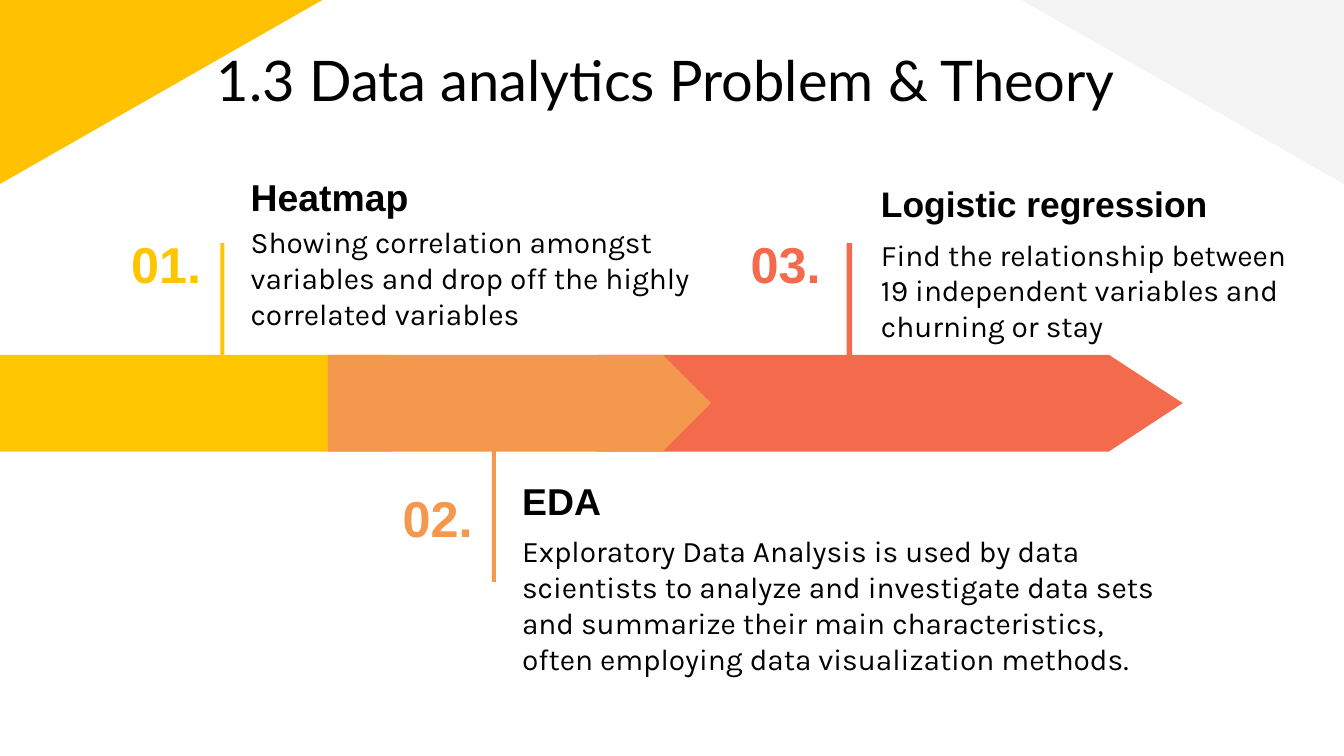
from pptx import Presentation
from pptx.dml.color import RGBColor
from pptx.enum.shapes import MSO_SHAPE
from pptx.enum.text import MSO_ANCHOR, PP_ALIGN
from pptx.util import Inches, Pt

BLACK = RGBColor(0x00, 0x00, 0x00)
GOLD = RGBColor(0xFF, 0xC1, 0x00)
GREY = RGBColor(0xF3, 0xF3, 0xF3)
YELLOW = RGBColor(0xFF, 0xC5, 0x00)
ORANGE = RGBColor(0xF3, 0x98, 0x4D)
CORAL = RGBColor(0xF3, 0x6A, 0x4C)

# Content
TITLE = "1.3 Data analytics Problem & Theory "
# Back to front; places are (left, top), body is (left, top, width)
STEPS = [
    dict(number="01.", color=YELLOW, arrow=(0, 2.91, 3.28),
         stem=(1.64, 1.81, 0.03), number_at=(0.9, 1.7),
         heading="Heatmap", heading_at=(1.79, 1.26, 1.85), heading_size=20,
         body="Showing correlation amongst variables and drop off "
              "the highly correlated variables",
         body_at=(1.79, 1.63, 3.5, 0.49)),
    dict(number="03.", color=CORAL, arrow=(4.45, 8.25, 8.8),
         stem=(6.3, 1.81, 0.04), number_at=(5.51, 1.7),
         heading="Logistic regression", heading_at=(6.48, 1.32, 2.6),
         heading_size=19,
         body="Find the relationship between 19 independent variables "
              "and churning or stay",
         body_at=(6.48, 1.72, 3.23, 0.49)),
    dict(number="02.", color=ORANGE, arrow=(2.44, 4.93, 5.29),
         stem=(3.66, 4.33, 0.03), number_at=(2.92, 3.59),
         heading="EDA", heading_at=(3.81, 3.52, 1.85), heading_size=20,
         body="Exploratory Data Analysis is used by data scientists to analyze "
              "and investigate data sets and summarize their main "
              "characteristics, often employing data visualization methods.",
         body_at=(3.81, 3.93, 4.9, 1.16)),
]
BAND_TOP, BAND_BOTTOM = 2.64, 3.36
BAND_MIDDLE = (BAND_TOP + BAND_BOTTOM) / 2

# A 16:9 slide
presentation = Presentation()
presentation.slide_width = Inches(10)
presentation.slide_height = Inches(10 * 9 / 16)
slide = presentation.slides.add_slide(presentation.slide_layouts[5])


def paint(shape, color):
    shape.fill.solid()
    shape.fill.fore_color.rgb = color
    shape.line.fill.background()
    shape.shadow.inherit = False


def write(shape, text, size, font_name, color=BLACK, bold=False,
          alignment=PP_ALIGN.LEFT):
    frame = shape.text_frame
    frame.word_wrap = True
    frame.vertical_anchor = MSO_ANCHOR.TOP
    frame.margin_left = frame.margin_right = Pt(5.4)
    frame.margin_top = frame.margin_bottom = Pt(2.7)
    frame.text = text
    paragraph = frame.paragraphs[0]
    paragraph.alignment = alignment
    font = paragraph.runs[0].font
    font.size, font.name, font.bold = Pt(size), font_name, bold
    font.color.rgb = color


def add_text(left, top, width, height, *style, **options):
    box = slide.shapes.add_textbox(*map(Inches, (left, top, width, height)))
    write(box, *style, **options)


def add_corner(left, color):
    corner = slide.shapes.add_shape(MSO_SHAPE.RIGHT_TRIANGLE, Inches(left), 0,
                                    Inches(2.4), Inches(1.37))
    paint(corner, color)
    return corner


def add_arrow(step):
    start, shoulder, tip = step["arrow"]
    stem_left, stem_end, stem_width = step["stem"]
    stem_right = stem_left + stem_width
    stem_base = BAND_TOP if stem_end < BAND_TOP else BAND_BOTTOM
    band = [(start, BAND_TOP), (shoulder, BAND_TOP), (tip, BAND_MIDDLE),
            (shoulder, BAND_BOTTOM), (start, BAND_BOTTOM)]
    stem = [(stem_left, stem_end), (stem_right, stem_end),
            (stem_right, stem_base), (stem_left, stem_base)]
    band, stem = ([(Inches(x), Inches(y)) for x, y in outline]
                  for outline in (band, stem))
    builder = slide.shapes.build_freeform(*band[0])
    builder.add_line_segments(band[1:])
    builder.move_to(*stem[0])
    builder.add_line_segments(stem[1:])
    paint(builder.convert_to_shape(), step["color"])


# Corner triangles
add_corner(0, GOLD)._element.spPr.xfrm.set("flipV", "1")
add_corner(7.6, GREY).rotation = 180

# Timeline band with its stems
for step in STEPS:
    add_arrow(step)

# Title, brought in front of the corners
title = slide.shapes.title
title.left, title.top, title.width, title.height = map(
    Inches, (0.43, 0.3, 9.15, 0.43))
write(title, TITLE, 30, "Lato", alignment=PP_ALIGN.CENTER)
slide.shapes._spTree.append(title._element)

# Step texts
for step in STEPS:
    add_text(*step["body_at"], step["body"], 16, "Karla")
    add_text(*step["heading_at"], 0.25, step["heading"],
             step["heading_size"], "Arial", bold=True)
    add_text(*step["number_at"], 0.75, 0.53, step["number"], 27, "Arial",
             color=step["color"], bold=True)

presentation.save("out.pptx")
